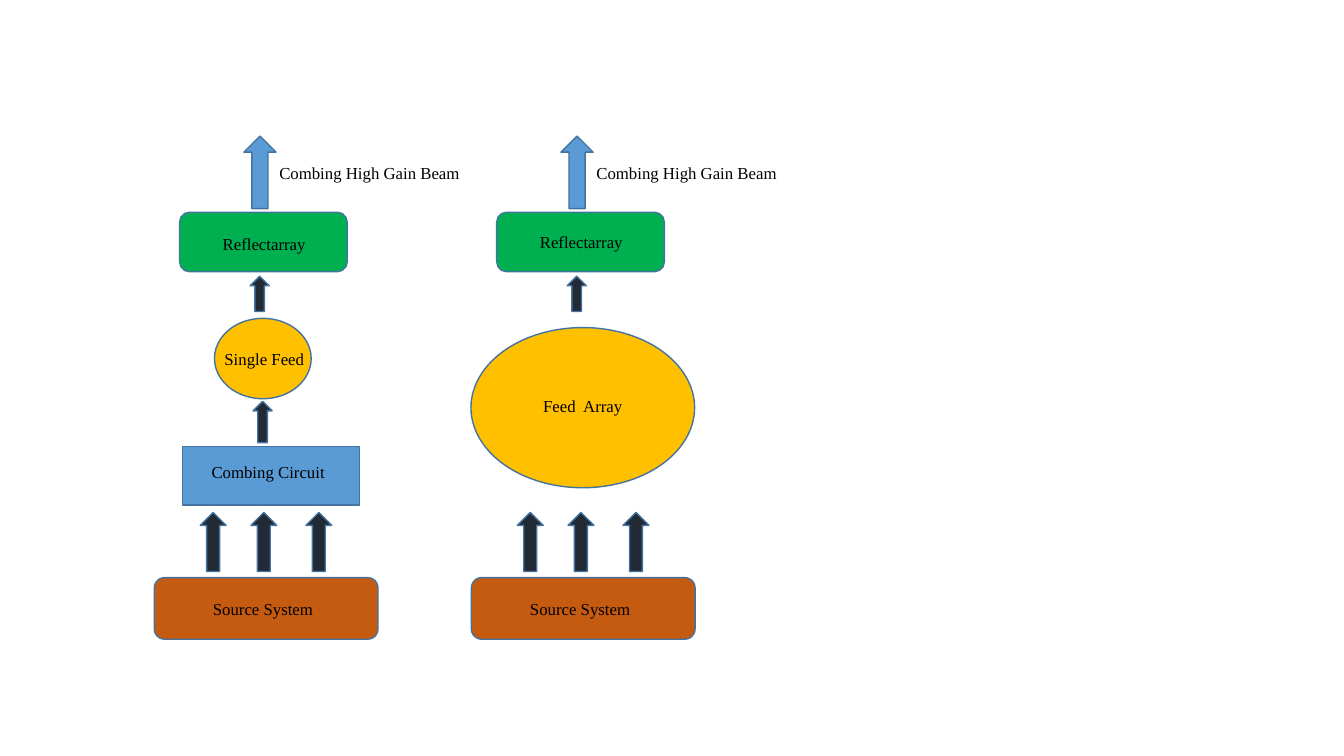
from pptx import Presentation
from pptx.dml.color import RGBColor
from pptx.enum import shapes, text
from pptx.util import Pt

KIND = shapes.MSO_SHAPE
DARK, BLUE, GREEN = "222A35", "5B9BD5", "00B050"
GOLD, RUST, OUTLINE = "FFC000", "C55A11", "43739E"

presentation = Presentation()
presentation.slide_width, presentation.slide_height = Pt(960), Pt(540)
slide = presentation.slides.add_slide(presentation.slide_layouts[6])


def add_block(kind, color, left, top, width, height):
    shape = slide.shapes.add_shape(kind, Pt(left), Pt(top), Pt(width), Pt(height))
    shape.shadow.inherit = False
    shape.fill.solid()
    shape.fill.fore_color.rgb = RGBColor.from_string(color)
    shape.line.color.rgb = RGBColor.from_string(OUTLINE)
    shape.line.width = Pt(1)


def add_label(wording, left, top, width):
    box = slide.shapes.add_textbox(Pt(left), Pt(top), Pt(width), Pt(21.8))
    box.text_frame.word_wrap = True
    box.text_frame.auto_size = text.MSO_AUTO_SIZE.SHAPE_TO_FIT_TEXT
    run = box.text_frame.paragraphs[0].add_run()
    run.text = wording
    run.font.name = "Times New Roman"
    run.font.size = Pt(12)
    run.font.color.rgb = RGBColor.from_string("000000")


# Parts shared by both systems: column offset and top of the reflectarray label
for offset, reflectarray_top in ((0, 163.4), (226.5, 162)):
    # Source system and its three outputs
    add_block(KIND.FLOWCHART_ALTERNATE_PROCESS, RUST, 110.2 + offset, 412.6, 159.8, 44)
    add_label("Source System", 145 + offset, 424, 89.3)
    for arrow_left in (143, 179.2, 218.5):
        add_block(KIND.UP_ARROW, DARK, arrow_left + offset, 366, 18.5, 42.2)

    # Reflectarray with the arrow that feeds it
    add_block(KIND.UP_ARROW, DARK, 178.6 + offset, 197.3, 13.7, 25.2)
    add_block(KIND.FLOWCHART_ALTERNATE_PROCESS, GREEN, 128.3 + offset, 151.6, 119.8, 42.5)
    add_label("Reflectarray", 152 + offset, reflectarray_top, 102.2)

    # Outgoing beam
    add_block(KIND.UP_ARROW, BLUE, 174.2 + offset, 97.2, 23, 51.8)
    add_label("Combing High Gain Beam", 192.4 + offset, 113, 146)

# Left system: combining circuit and single feed
add_block(KIND.FLOWCHART_PROCESS, BLUE, 130.3, 319, 126.7, 41.8)
add_label("Combing Circuit", 144, 326.2, 99.4)
add_block(KIND.UP_ARROW, DARK, 180.7, 286.6, 13.7, 29.5)
add_block(KIND.FLOWCHART_CONNECTOR, GOLD, 153.2, 227.4, 69.1, 57.4)
add_label("Single Feed", 153.2, 245.5, 74)

# Right system: feed array
add_block(KIND.FLOWCHART_CONNECTOR, GOLD, 336.4, 234, 159.8, 114.4)
add_label("Feed  Array", 380.9, 279.4, 74)

presentation.save("out.pptx")
